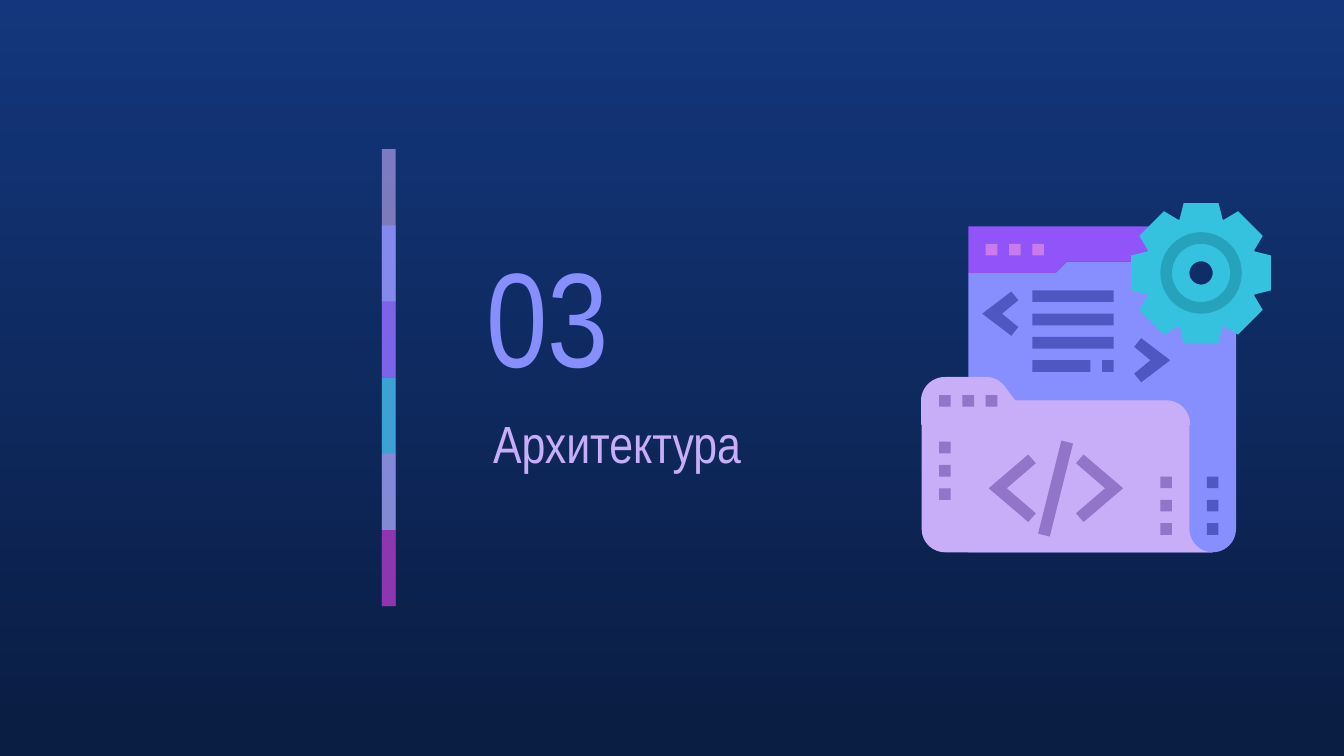
import math
from dataclasses import dataclass

import lxml.etree
import pptx
import pptx.dml.color
import pptx.enum.shapes
import pptx.enum.text
import pptx.oxml.ns
import pptx.util
from pptx.util import Cm

Point = tuple[float, float]
Contour = list[Point]


@dataclass(frozen=True)
class Theme:
    font: str = "Arial Narrow"
    number_size: int = 72
    title_size: int = 28
    background_top: str = "13367C"
    background_bottom: str = "0A1D42"
    blue: str = "878FFF"
    lilac: str = "C8AEF8"
    violet: str = "9154F8"
    cyan: str = "35C2DF"
    dark_cyan: str = "26A2BC"
    pink: str = "CA7BEB"
    magenta: str = "972CB4"
    indigo: str = "4F57C3"
    mauve: str = "9275C8"


@dataclass(frozen=True)
class Outline:
    color: str
    contours: list[Contour]
    line_width: float = 0


@dataclass(frozen=True)
class Block:
    color: str
    left: float
    top: float
    width: float = 1
    height: float = 1


@dataclass(frozen=True)
class Bar:
    color: str
    opacity: int
    pitches: int = 2


THEME = Theme()

# The icon stands on a grid of 30 by 30 units
ICON_LEFT, ICON_TOP, UNIT = 17.42, 3.84, 0.22
GEAR_CENTER = (24, 6)

# Vertical bar of overlapping translucent pieces
BAR_LEFT, BAR_TOP, BAR_WIDTH, BAR_PITCH = 7.22, 2.82, 0.26, 1.44
BARS = [
    Bar(THEME.lilac, 59),
    Bar(THEME.blue, 74),
    Bar(THEME.violet, 53),
    Bar(THEME.cyan, 76),
    Bar(THEME.pink, 56),
    Bar(THEME.magenta, 74, pitches=1),
]


def rgb(color: str) -> pptx.dml.color.RGBColor:
    return pptx.dml.color.RGBColor.from_string(color)


def arc(center: Point, radius: float, start: float, end: float) -> Contour:
    """Points on an arc; degrees run clockwise from the right."""
    steps = max(4, round(abs(end - start) / 7.5))
    angles = [math.radians(start + (end - start) * step / steps) for step in range(steps + 1)]
    return [(center[0] + radius * math.cos(a), center[1] + radius * math.sin(a)) for a in angles]


def circle(radius: float) -> Contour:
    return arc(GEAR_CENTER, radius, 0, 360)


def gear_teeth() -> Contour:
    """One tooth, turned eight times about the centre."""
    tooth = [(-1.85, -4.6), (-1.5, -6), (1.5, -6), (1.85, -4.6)]
    points = []
    for turn in range(8):
        cos, sin = math.cos(turn * math.pi / 4), math.sin(turn * math.pi / 4)
        points += [(GEAR_CENTER[0] + x * cos - y * sin, GEAR_CENTER[1] + x * sin + y * cos)
                   for x, y in tooth]
    return points


def chevron(tip: Point, direction: int, outer: Point, inner: Point, notch: float) -> Contour:
    """Angle bracket; direction 1 opens to the right, -1 to the left."""
    upper = [(outer[0], -outer[1]), (inner[0], -inner[1])]
    lower = [(x, -y) for x, y in reversed(upper)]
    return [(tip[0] + direction * x, tip[1] + y) for x, y in [(0, 0), *upper, (notch, 0), *lower]]


def paint(shape, color: str, opacity: int = 100, line_width: float = 0) -> None:
    shape.shadow.inherit = False
    shape.fill.solid()
    shape.fill.fore_color.rgb = rgb(color)
    if opacity < 100:
        color_element = next(shape._element.spPr.iter(pptx.oxml.ns.qn("a:srgbClr")))
        alpha = lxml.etree.SubElement(color_element, pptx.oxml.ns.qn("a:alpha"))
        alpha.set("val", str(opacity * 1000))
    if line_width:
        shape.line.color.rgb = rgb(color)
        shape.line.width = pptx.util.Pt(line_width)
    else:
        shape.line.fill.background()


def draw_outline(shapes, outline: Outline) -> None:
    contours = [[(Cm(ICON_LEFT + x * UNIT), Cm(ICON_TOP + y * UNIT)) for x, y in contour]
                for contour in outline.contours]
    builder = shapes.build_freeform(*contours[0][0])
    builder.add_line_segments(contours[0][1:], close=True)
    for hole in contours[1:]:
        builder.move_to(*hole[0])
        builder.add_line_segments(hole[1:], close=True)
    paint(builder.convert_to_shape(), outline.color, line_width=outline.line_width)


def draw_rectangle(shapes, left: float, top: float, width: float, height: float,
                   color: str, opacity: int = 100) -> None:
    shape = shapes.add_shape(pptx.enum.shapes.MSO_SHAPE.RECTANGLE,
                             Cm(left), Cm(top), Cm(width), Cm(height))
    paint(shape, color, opacity)


def write_text(shape, text: str, *, size: int, color: str) -> None:
    frame = shape.text_frame
    frame.word_wrap = True
    frame.auto_size = pptx.enum.text.MSO_AUTO_SIZE.NONE
    frame.vertical_anchor = pptx.enum.text.MSO_ANCHOR.MIDDLE
    frame.margin_left = frame.margin_right = frame.margin_top = frame.margin_bottom = Cm(0.25)
    paragraph = frame.paragraphs[0]
    paragraph.alignment = pptx.enum.text.PP_ALIGN.LEFT
    run = paragraph.add_run()
    run.text = text
    run.font.name, run.font.size = THEME.font, pptx.util.Pt(size)
    run.font.color.rgb = rgb(color)


def icon_outlines() -> list[Outline]:
    page = [(12.5, 5), (20, 5), (20, 10), (27, 10), *arc((25, 28), 2, 0, 90), (4, 30), (4, 6), (11.5, 6)]
    header = [(4, 2), (19.5, 2), (19.5, 5), (12.5, 5), (11.5, 6), (4, 6)]
    folder = [(0, 19), *arc((2, 28), 2, 180, 90), *arc((25, 28), 2, 90, 180), (23, 19)]
    folder_tab = [(0, 19), *arc((2, 17), 2, 180, 270), *arc((5.5, 17), 2, -90, -36),
                  (8, 17), *arc((21, 19), 2, -90, 0)]
    small = dict(outer=(2.5, 1.9), inner=(3.1, 1.15), notch=1.7)
    large = dict(outer=(3.4, 2.9), inner=(4.05, 2.15), notch=1.55)
    slash = [(12, 20.4), (10, 28.4), (11, 28.65), (13, 20.65)]
    return [
        Outline(THEME.blue, [page]),
        Outline(THEME.violet, [header]),
        Outline(THEME.lilac, [folder]),
        Outline(THEME.lilac, [folder_tab], line_width=0.75),
        Outline(THEME.cyan, [circle(3), circle(1)]),
        Outline(THEME.cyan, [gear_teeth(), circle(3)]),
        Outline(THEME.dark_cyan, [circle(3.5), circle(2.5)]),
        Outline(THEME.indigo, [chevron((5.2, 9.5), 1, **small)]),
        Outline(THEME.indigo, [chevron((21.35, 13.5), -1, **small)]),
        Outline(THEME.mauve, [chevron((5.75, 24.5), 1, **large)]),
        Outline(THEME.mauve, [chevron((17.3, 24.5), -1, **large)]),
        Outline(THEME.mauve, [slash]),
    ]


def icon_blocks() -> list[Block]:
    blocks = [Block(THEME.indigo, 9.5, 7.5 + 2 * row, width=7 if row < 3 else 5) for row in range(4)]
    blocks.append(Block(THEME.indigo, 15.5, 13.5))
    for offset in (0, 2, 4):
        blocks += [
            Block(THEME.pink, 5.5 + offset, 3.5),
            Block(THEME.mauve, 1.5 + offset, 16.5),
            Block(THEME.mauve, 1.5, 20.5 + offset),
            Block(THEME.mauve, 20.5, 23.5 + offset),
            Block(THEME.indigo, 24.5, 23.5 + offset),
        ]
    return blocks


def main() -> None:
    presentation = pptx.Presentation()
    presentation.slide_width, presentation.slide_height = Cm(25.4), Cm(14.29)
    slide = presentation.slides.add_slide(presentation.slide_layouts[5])

    # Background
    background = slide.background.fill
    background.gradient()
    background.gradient_angle = 270
    for stop, color in zip(background.gradient_stops, (THEME.background_top, THEME.background_bottom)):
        stop.color.rgb = rgb(color)

    # Section number and title
    number = slide.shapes.add_textbox(Cm(8.94), Cm(4.22), Cm(4.45), Cm(3.43))
    write_text(number, "03", size=THEME.number_size, color=THEME.blue)
    title = slide.shapes.title
    title.left, title.top, title.width, title.height = Cm(9.07), Cm(7.14), Cm(7.29), Cm(2.44)
    write_text(title, "Архитектура", size=THEME.title_size, color=THEME.lilac)

    # Icon: page, folder and gear
    icon = slide.shapes.add_group_shape().shapes
    for outline in icon_outlines():
        draw_outline(icon, outline)
    for block in icon_blocks():
        draw_rectangle(icon, ICON_LEFT + block.left * UNIT, ICON_TOP + block.top * UNIT,
                       block.width * UNIT, block.height * UNIT, block.color)

    # Vertical bar
    bar_group = slide.shapes.add_group_shape().shapes
    for index, bar in enumerate(BARS):
        draw_rectangle(bar_group, BAR_LEFT, BAR_TOP + index * BAR_PITCH,
                       BAR_WIDTH, bar.pitches * BAR_PITCH, bar.color, bar.opacity)

    presentation.save("out.pptx")


if __name__ == "__main__":
    main()
